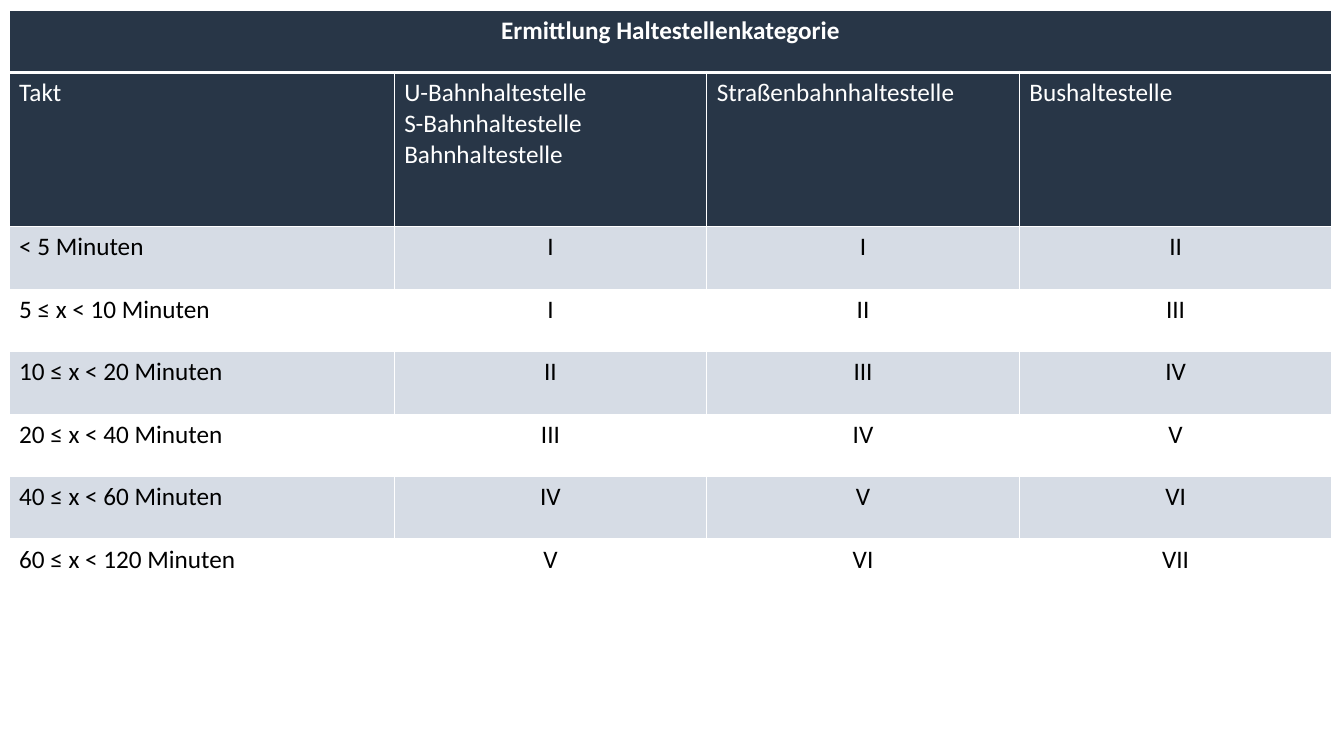
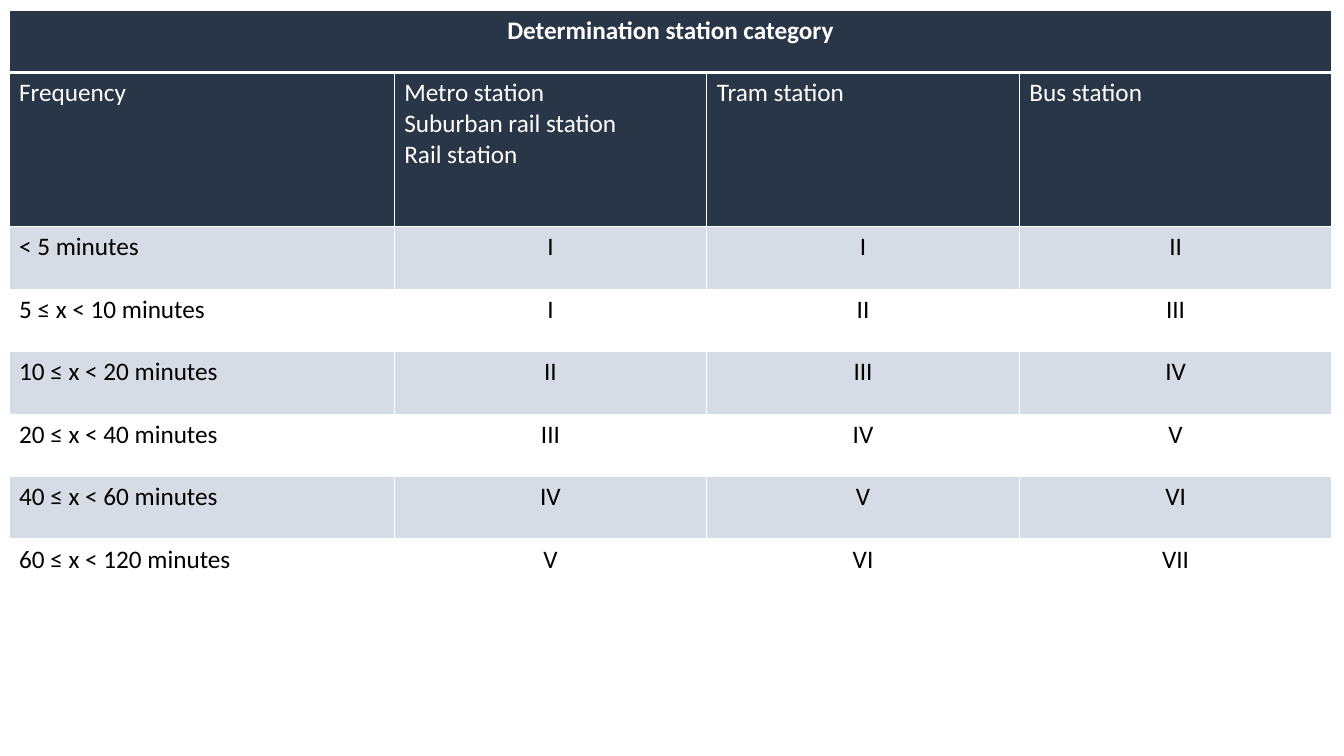
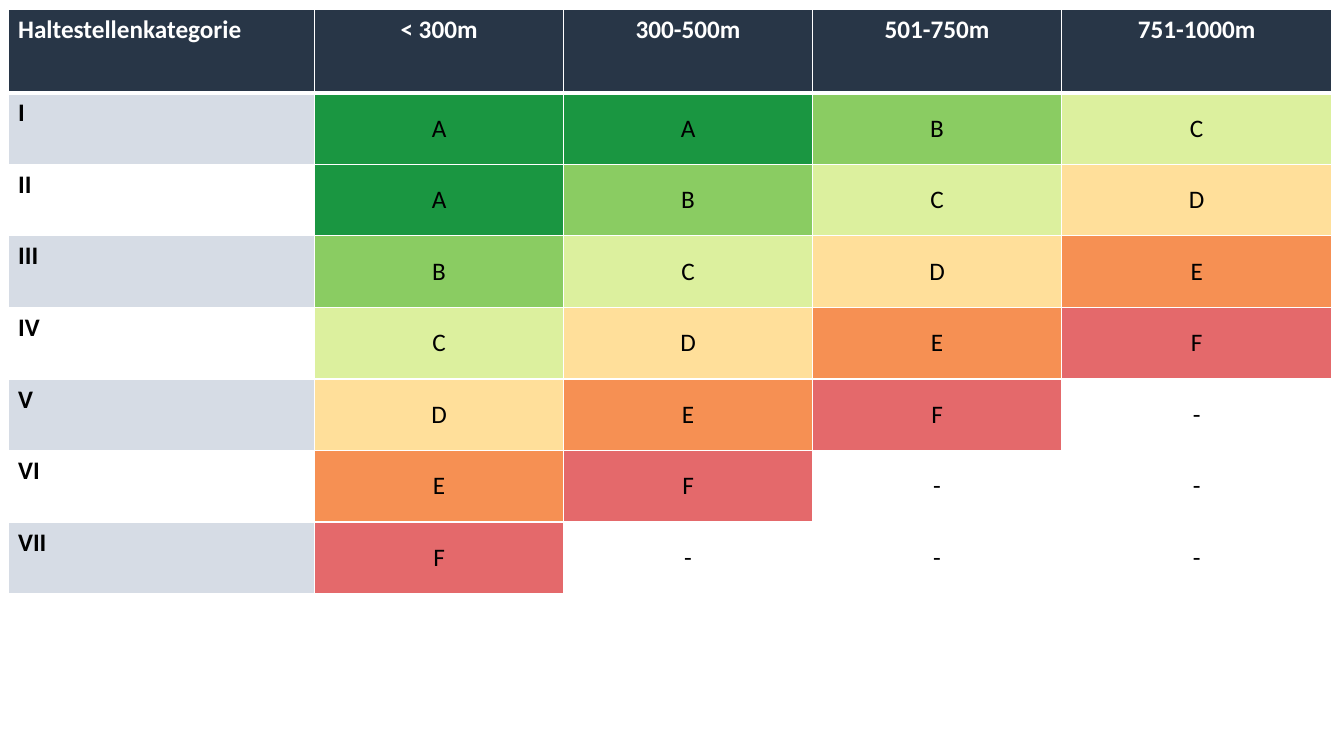
from pptx import Presentation
from pptx.dml.color import RGBColor
from pptx.enum.text import MSO_ANCHOR, PP_ALIGN
from pptx.oxml.ns import qn
from pptx.util import Inches, Pt
from lxml import etree

LEFT, CENTER = PP_ALIGN.LEFT, PP_ALIGN.CENTER
TOP, MIDDLE = MSO_ANCHOR.TOP, MSO_ANCHOR.MIDDLE

COLORS = {
    "head": "283647", "band": "D6DCE5", "white": "FFFFFF", "black": "000000",
    "A": "1A9641", "B": "8ACC62", "C": "DCF09E",
    "D": "FFDF9A", "E": "F69053", "F": "D7191C", "-": "FFFFFF",
}
OPACITY = {"F": 65}  # percent
FONT = {"name": "Calibri", "size": Pt(18)}
THIN, THICK = 1, 3
CATEGORIES = ["I", "II", "III", "IV", "V", "VI", "VII"]
GRADES = ["A", "B", "C", "D", "E", "F", "-"]
INTERVALS = ["< 5", "5 ≤ x < 10", "10 ≤ x < 20", "20 ≤ x < 40",
             "40 ≤ x < 60", "60 ≤ x < 120"]


def step(scale, row, col):
    """Each row or column leads one step down the scale, within its ends."""
    return scale[min(max(row + col - 1, 0), len(scale) - 1)]


def band(row):
    return "white" if row % 2 else "band"


def set_borders(cell, top, bottom):
    tcPr = cell._tc.get_or_add_tcPr()
    for side, width in (("L", THIN), ("R", THIN), ("T", top), ("B", bottom)):
        ln = etree.SubElement(tcPr, qn("a:ln" + side), w=str(Pt(width)))
        fill = etree.SubElement(ln, qn("a:solidFill"))
        etree.SubElement(fill, qn("a:srgbClr"), val=COLORS["white"])


def set_fill(cell, key):
    cell.fill.solid()
    cell.fill.fore_color.rgb = RGBColor.from_string(COLORS[key])
    if key in OPACITY:
        clr = cell._tc.tcPr.find(qn("a:solidFill")).find(qn("a:srgbClr"))
        etree.SubElement(clr, qn("a:alpha"), val=str(OPACITY[key] * 1000))


def write(cell, text, color="black", bold=False, align=LEFT, anchor=TOP):
    cell.vertical_anchor = anchor
    tf = cell.text_frame
    for i, line in enumerate(text.split("\n")):
        p = tf.add_paragraph() if i else tf.paragraphs[0]
        p.alignment = align
        r = p.add_run()
        r.text = line
        for name, value in {**FONT, "bold": bold}.items():
            setattr(r.font, name, value)
        r.font.color.rgb = RGBColor.from_string(COLORS[color])


def add_grid(prs, left, top, cols, rows):
    """Add a slide with an empty table; a thick rule follows its first row."""
    s = prs.slides.add_slide(prs.slide_layouts[6])
    frame = s.shapes.add_table(len(rows), len(cols), Inches(left), Inches(top),
                               Inches(sum(cols)), Inches(sum(rows)))
    table = frame.table
    table.first_row = table.horz_banding = False
    for parts, attr, sizes in ((table.columns, "width", cols),
                               (table.rows, "height", rows)):
        for part, size in zip(parts, sizes):
            setattr(part, attr, Inches(size))
    for i in range(len(rows)):
        for j in range(len(cols)):
            set_borders(table.cell(i, j), THICK if i == 1 else THIN,
                        THICK if i == 0 else THIN)
    return table


def category_slide(prs, title, headings, unit):
    table = add_grid(prs, 0.09, 0.1, [3.82] + [3.1] * 3,
                     [0.62, 1.53] + [0.62] * len(INTERVALS))
    # Title and column headings
    for j, heading in enumerate(headings):
        set_fill(table.cell(0, j), "head")
        set_fill(table.cell(1, j), "head")
        write(table.cell(1, j), heading, "white")
    table.cell(0, 0).merge(table.cell(0, len(headings) - 1))
    write(table.cell(0, 0), title, "white", True, CENTER)
    # Frequencies and station categories
    for i, interval in enumerate(INTERVALS):
        for j in range(len(headings)):
            cell = table.cell(i + 2, j)
            set_fill(cell, band(i))
            if j == 0:
                write(cell, f"{interval} {unit}")
            else:
                write(cell, step(CATEGORIES, i, j - 1), align=CENTER)


def grade_slide(prs, headings):
    table = add_grid(prs, 0.08, 0.09, [3.04] + [2.47] * 3 + [2.68],
                     [0.83] + [0.71] * len(CATEGORIES))
    # Column headings
    for j, heading in enumerate(headings):
        set_fill(table.cell(0, j), "head")
        write(table.cell(0, j), heading, "white", True, CENTER if j else LEFT)
    # Station categories and quality grades
    for i, category in enumerate(CATEGORIES):
        set_fill(table.cell(i + 1, 0), band(i))
        write(table.cell(i + 1, 0), category, bold=True)
        for j in range(1, len(headings)):
            grade = step(GRADES, i, j - 1)
            set_fill(table.cell(i + 1, j), grade)
            write(table.cell(i + 1, j), grade, align=CENTER, anchor=MIDDLE)


def main():
    prs = Presentation()
    prs.slide_width, prs.slide_height = Inches(13.33), Inches(7.5)
    category_slide(prs, "Ermittlung Haltestellenkategorie",
                   ["Takt", "U-Bahnhaltestelle\nS-Bahnhaltestelle\nBahnhaltestelle",
                    "Straßenbahnhaltestelle", "Bushaltestelle"], "Minuten")
    category_slide(prs, "Determination station category",
                   ["Frequency", "Metro station\nSuburban rail station\nRail station",
                    "Tram station", "Bus station"], "minutes")
    grade_slide(prs, ["Haltestellenkategorie", "< 300m", "300-500m",
                      "501-750m", "751-1000m"])
    prs.save("out.pptx")


if __name__ == "__main__":
    main()
